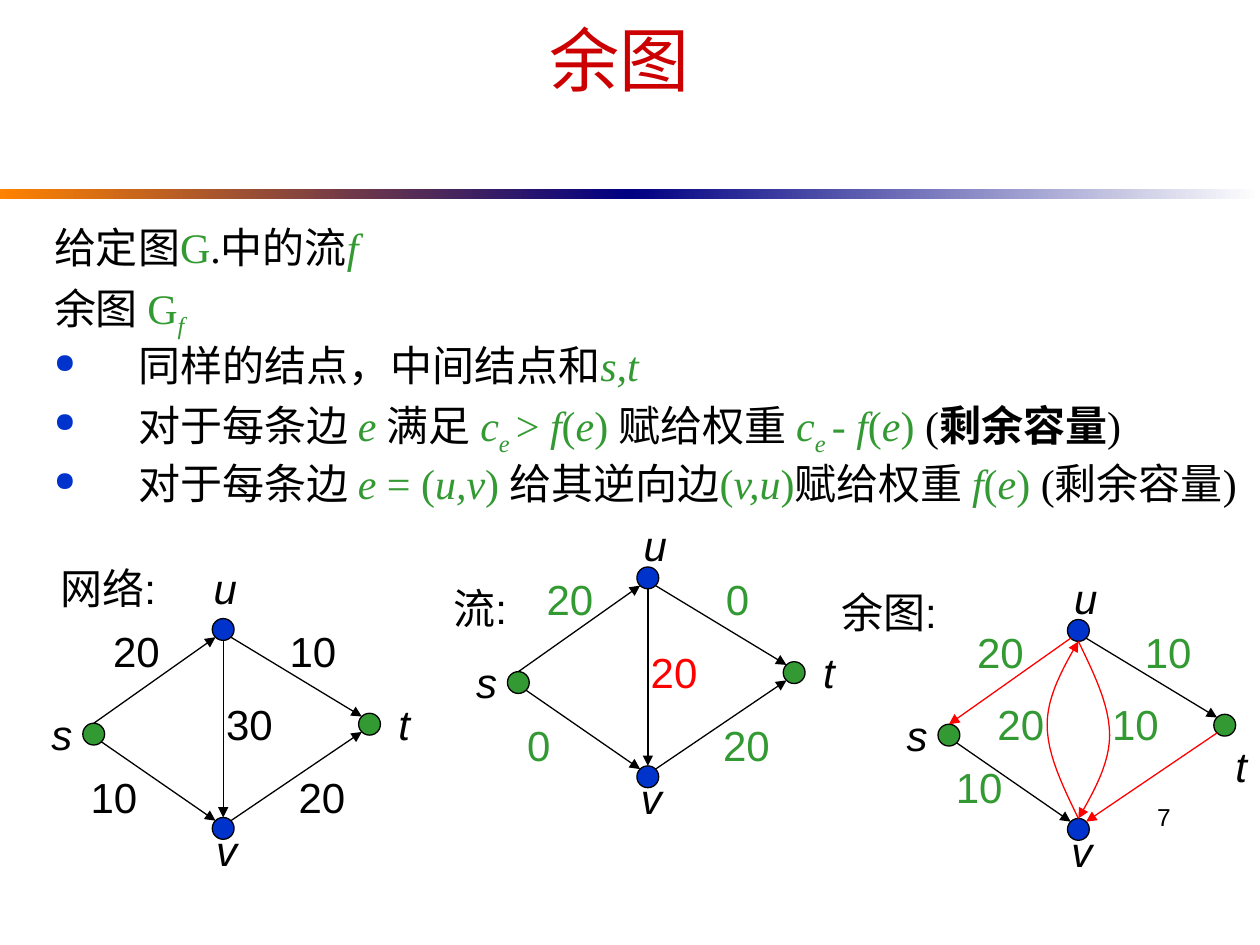
from math import cos, radians, sin

from pptx import Presentation
from pptx.dml.color import RGBColor
from pptx.enum.shapes import MSO_CONNECTOR, MSO_SHAPE
from pptx.enum.text import MSO_ANCHOR, MSO_AUTO_SIZE, PP_ALIGN
from pptx.oxml.ns import qn
from pptx.oxml.xmlchemy import OxmlElement
from pptx.util import Cm, Pt

COLORS = {
    "black": "000000", "green": "339933", "blue": "0033CC", "red": "FF0000",
    "title": "CC0000", "orange": "FF8200", "navy": "000082", "white": "FFFFFF",
}

TITLE = "余图"
PAGE_NUMBER = "7"
BANDS = [("orange", "navy"), ("navy", "white")]

STYLES = {
    "text": {},
    "strong": {"bold": True},
    "math": {"color": "green"},
    "var": {"color": "green", "italic": True},
    "sub": {"color": "green", "italic": True, "baseline": -25000},
}
INTRO = [
    [("给定图", "text"), ("G", "math"), (".中的流", "text"), ("f", "var")],
    [("余图 ", "text"), ("G", "math"), ("f", "sub")],
]
RULES = [
    [("同样的结点，中间结点和", "text"), ("s,t", "var")],
    [("对于每条边 ", "text"), ("e ", "var"), ("满足 ", "text"), ("c", "var"), ("e ", "sub"),
     ("> ", "math"), ("f", "var"), ("(", "math"), ("e", "var"), (") ", "math"),
     ("赋给权重 ", "text"), ("c", "var"), ("e ", "sub"), ("- ", "math"), ("f", "var"),
     ("(", "math"), ("e", "var"), (")", "math"), (" (", "text"), ("剩余容量", "strong"),
     (")", "text")],
    [("对于每条边 ", "text"), ("e ", "var"), ("= (", "math"), ("u,v", "var"), (") ", "math"),
     ("给其逆向边", "text"), ("(", "math"), ("v,u", "var"), (")", "math"),
     ("赋给权重 ", "text"), ("f", "var"), ("(", "math"), ("e", "var"), (")", "math"),
     (" (剩余容量)", "text")],
]

NODES = {"s": (0, 0, "green"), "u": (2.61, -2.11, "blue"),
         "t": (5.56, -0.2, "green"), "v": (2.61, 1.9, "blue")}
NODE_RADIUS = 0.22
EDGE_ANGLES = {"su": (-90, 135), "us": (135, -90), "ut": (45, -135), "sv": (45, -135),
               "vt": (-45, 135), "tv": (135, -45), "uv": (90, -90), "vu": (-90, 90)}
LABEL_SPOTS = {"s": (-0.64, -0.01), "u": (2.76, -2.78), "t": (6.26, -0.22), "v": (2.68, 2.32),
               "su": (1.04, -1.69), "us": (1.04, -1.69), "ut": (4.42, -1.69),
               "sv": (0.41, 1.26), "vt": (4.6, 1.26), "uv": (3.14, -0.22), "vu": (1.45, -0.24)}
GRAPHS = [
    {"caption": "网络:", "caption_at": (0.29, -2.96), "origin": (1.89, 14.8),
     "moved": {"su": (0.86, -1.69), "u": (2.65, -2.96)},
     "edges": [("su", "20", "black", "black"), ("ut", "10", "black", "black"),
               ("uv", "30", "black", "black"), ("sv", "10", "black", "black"),
               ("vt", "20", "black", "black")]},
    {"caption": "流:", "caption_at": (-0.77, -1.51), "origin": (10.45, 13.76), "moved": {},
     "edges": [("su", "20", "green", "black"), ("ut", "0", "green", "black"),
               ("uv", "20", "red", "black"), ("sv", "0", "green", "black"),
               ("vt", "20", "green", "black")]},
    {"caption": "余图:", "caption_at": (-1.21, -2.48), "origin": (19.13, 14.82),
     "moved": {"t": (5.89, 0.62), "sv": (0.61, 1.03), "uv": (3.76, -0.24)},
     "edges": [("us", "20", "green", "red"), ("ut", "10", "green", "black"),
               ("uv", "10", "green", "red"), ("vu", "20", "green", "red"),
               ("sv", "10", "green", "black"), ("tv", None, None, "red")]},
]
CURVE = [(0, 0), (0.18, 0.31), (0.36, 0.63), (0.53, 0.63), (0.69, 0.63), (0.85, 0.31), (1, 0)]
CURVE_STEPS = 12


def rgb(name):
    return RGBColor.from_string(COLORS[name])


def style_run(run, size, font="Arial", color="black", bold=False, italic=False, baseline=0):
    run.font.name, run.font.size = font, Pt(size)
    run.font.color.rgb = rgb(color)
    run.font.bold, run.font.italic = bold, italic
    if baseline:
        run.font._element.set("baseline", str(baseline))


def add_label(slide, text, center, color="black", italic=False):
    width = 0.56 + sum(0.48 if char.isascii() else 0.85 for char in text)
    label = slide.shapes.add_textbox(
        Cm(center[0] - width / 2), Cm(center[1] - 0.635), Cm(width), Cm(1.27))
    frame = label.text_frame
    frame.word_wrap = False
    frame.auto_size = MSO_AUTO_SIZE.SHAPE_TO_FIT_TEXT
    frame.vertical_anchor = MSO_ANCHOR.MIDDLE
    frame.text = text
    frame.paragraphs[0].alignment = PP_ALIGN.CENTER
    style_run(frame.paragraphs[0].runs[0], 24, color=color, italic=italic)


def style_edge(edge, color):
    edge.line.color.rgb = rgb(color)
    edge.line.width = Pt(0.75)
    properties = edge._element.spPr
    arrow = OxmlElement("a:tailEnd")
    arrow.set("type", "triangle")
    properties.find(qn("a:ln")).append(arrow)
    if properties.find(qn("a:effectLst")) is None:
        properties.append(OxmlElement("a:effectLst"))


def bezier(p0, p1, p2, p3, t):
    return tuple((1 - t) ** 3 * a + 3 * (1 - t) ** 2 * t * b + 3 * (1 - t) * t ** 2 * c + t ** 3 * d
                 for a, b, c, d in zip(p0, p1, p2, p3))


def add_curve(slide, start, end, color):
    side = 1 if end[1] > start[1] else -1
    controls = [(start[0] + side * bulge, start[1] + (end[1] - start[1]) * share)
                for share, bulge in CURVE]
    points = [bezier(*controls[first:first + 4], step / CURVE_STEPS)
              for first in (0, 3) for step in range(1, CURVE_STEPS + 1)]
    builder = slide.shapes.build_freeform(Cm(start[0]), Cm(start[1]))
    builder.add_line_segments([(Cm(x), Cm(y)) for x, y in points], close=False)
    curve = builder.convert_to_shape()
    curve.fill.background()
    curve.shadow.inherit = False
    style_edge(curve, color)


def add_graph(slide, graph):
    left, top = graph["origin"]
    spots = LABEL_SPOTS | graph["moved"]
    edge_names = [edge[0] for edge in graph["edges"]]

    def place(point):
        return left + point[0], top + point[1]

    def rim(node, angle):
        x, y = place(NODES[node])
        return (x + NODE_RADIUS * cos(radians(angle)), y + NODE_RADIUS * sin(radians(angle)))

    for name, (x, y, color) in NODES.items():
        x, y = place((x, y))
        node = slide.shapes.add_shape(
            MSO_SHAPE.OVAL, Cm(x - NODE_RADIUS), Cm(y - NODE_RADIUS),
            Cm(2 * NODE_RADIUS), Cm(2 * NODE_RADIUS))
        node.shadow.inherit = False
        node.fill.solid()
        node.fill.fore_color.rgb = rgb(color)
        node.line.color.rgb = rgb("black")
        node.line.width = Pt(0.75)
        add_label(slide, name, place(spots[name]), italic=True)

    for name, weight, weight_color, color in graph["edges"]:
        start, end = (rim(node, angle) for node, angle in zip(name, EDGE_ANGLES[name]))
        if name[::-1] in edge_names:
            add_curve(slide, start, end, color)
        else:
            edge = slide.shapes.add_connector(
                MSO_CONNECTOR.STRAIGHT, *(Cm(value) for value in start + end))
            style_edge(edge, color)
        if weight:
            add_label(slide, weight, place(spots[name]), weight_color)
    add_label(slide, graph["caption"], place(graph["caption_at"]))


def add_bullet(properties):
    color = OxmlElement("a:buClr")
    value = OxmlElement("a:srgbClr")
    value.set("val", COLORS["blue"])
    color.append(value)
    size = OxmlElement("a:buSzPct")
    size.set("val", "65000")
    mark = OxmlElement("a:buChar")
    mark.set("char", "●")
    for part in (color, size, mark):
        properties.append(part)


def add_body(slide):
    body = slide.shapes.add_textbox(Cm(0.84), Cm(4.45), Cm(24.56), Cm(7.7)).text_frame
    body.word_wrap = True
    for index, pieces in enumerate(INTRO + RULES):
        paragraph = body.add_paragraph() if index else body.paragraphs[0]
        paragraph.line_spacing = 0.9
        paragraph.space_before = Pt(6)
        if index >= len(INTRO):
            properties = paragraph._p.get_or_add_pPr()
            properties.set("marL", str(Cm(1.7)))
            properties.set("indent", str(Cm(-1.7)))
            add_bullet(properties)
        for text, style in pieces:
            run = paragraph.add_run()
            run.text = text
            style_run(run, 24, font="Times New Roman", **STYLES[style])


def main():
    deck = Presentation()
    deck.slide_width, deck.slide_height = Cm(25.4), Cm(19.05)
    slide = deck.slides.add_slide(deck.slide_layouts[5])

    for index, colors in enumerate(BANDS):
        band = slide.shapes.add_shape(
            MSO_SHAPE.RECTANGLE, Cm(12.7 * index), Cm(3.81), Cm(12.7), Cm(0.2))
        band.shadow.inherit = False
        band.line.fill.background()
        band.fill.gradient()
        band.fill.gradient_angle = 0
        for stop, color in zip(band.fill.gradient_stops, colors):
            stop.color.rgb = rgb(color)

    title = slide.shapes.title
    title.left, title.top, title.width, title.height = Cm(0.84), Cm(-0.41), Cm(23.29), Cm(3.18)
    title.text_frame.text = TITLE
    title.text_frame.vertical_anchor = MSO_ANCHOR.MIDDLE
    title.text_frame.paragraphs[0].alignment = PP_ALIGN.CENTER
    style_run(title.text_frame.paragraphs[0].runs[0], 40, color="title")

    add_body(slide)
    for graph in GRAPHS:
        add_graph(slide, graph)

    page = slide.shapes.add_textbox(Cm(18.57), Cm(16.05), Cm(5.28), Cm(1.27)).text_frame
    page.word_wrap = True
    page.text = PAGE_NUMBER
    page.paragraphs[0].alignment = PP_ALIGN.RIGHT
    style_run(page.paragraphs[0].runs[0], 14)
    deck.save("out.pptx")


if __name__ == "__main__":
    main()
